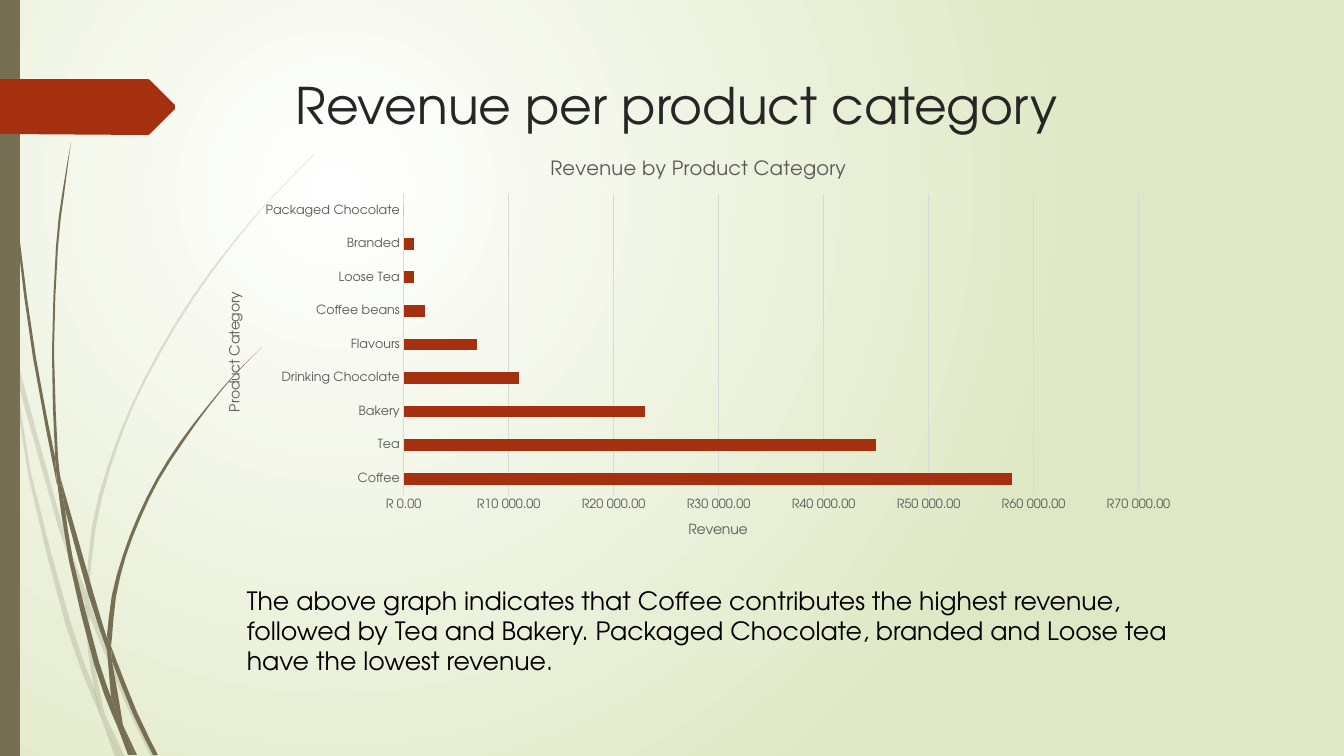
from pptx import Presentation
from pptx.chart.data import CategoryChartData
from pptx.dml.color import RGBColor
from pptx.enum.chart import XL_CHART_TYPE, XL_TICK_MARK
from pptx.enum.shapes import MSO_SHAPE
from pptx.enum.text import MSO_ANCHOR
from pptx.util import Pt
from lxml.etree import SubElement

SCALE = 914400 / 100.8
FONT = "TeX Gyre Adventor"
OLIVE, RUST, GREY, RULE = "766F54", "A53010", "595959", "D9D9D9"
NS = "{http://schemas.openxmlformats.org/drawingml/2006/main}"

PALE = [
    ([(0, 284), (9, 325), (11, 353)], [(10, 347), (0, 301)]),
    ([(14, 348), (62, 524), (86, 591)], [(85, 604), (58, 526), (17, 379)]),
    ([(89, 601), (93, 612), (128, 698), (156, 757)],
     [(151, 757), (124, 700), (89, 615)]),
    ([(106, 717), (125, 757)], [(120, 757), (106, 717)]),
    ([(11, 353), (17, 379), (31, 473), (71, 624), (94, 688), (102, 720)],
     [(93, 699), (66, 626), (28, 474), (11, 353)]),
    ([(85, 604), (88, 651), (94, 688), (97, 698), (106, 717)],
     [(104, 712), (92, 651), (89, 615), (85, 604)]),
    ([(314, 154), (270, 199), (230, 246), (192, 297), (159, 351), (131, 406),
      (108, 465), (92, 526), (86, 591)],
     [(89, 601), (89, 589), (96, 526), (111, 466), (133, 407), (161, 352),
      (194, 298), (231, 247), (270, 200), (314, 155)]),
    ([(102, 720), (115, 757)], [(120, 757), (102, 720)]),
    ([(86, 591), (85, 604), (89, 613)], [(89, 615), (89, 601)]),
    ([(94, 688), (102, 720), (120, 757)], [(106, 717), (97, 698)]),
]
DARK = [
    ([(3, 0), (4, 48), (7, 111), (17, 235), (33, 358), (57, 485)],
     [(55, 457), (36, 358), (19, 234), (8, 110), (5, 48), (4, 0)]),
    ([(60, 476), (94, 595), (107, 638)], [(107, 650), (89, 597), (65, 509)]),
    ([(111, 646), (114, 654), (137, 712), (158, 755)],
     [(153, 755), (133, 714), (112, 661)]),
    ([(57, 481), (65, 509), (73, 560), (99, 662), (111, 697), (118, 728)],
     [(112, 714), (94, 664), (69, 561), (57, 481)]),
    ([(71, 142), (62, 195), (56, 247), (52, 352), (55, 453), (60, 476)],
     [(58, 457), (54, 352), (58, 247), (64, 195), (71, 142)]),
    ([(123, 725), (137, 755)], [(134, 755), (123, 725)]),
    ([(55, 453), (60, 476), (65, 509)], [(57, 481), (55, 457)]),
    ([(262, 347), (233, 376), (206, 408), (180, 442), (157, 478), (138, 516),
      (123, 555), (112, 595), (107, 636)],
     [(111, 646), (112, 638), (116, 597), (126, 556), (141, 517), (159, 480),
      (182, 444), (207, 409), (233, 377), (262, 347)]),
    ([(118, 728), (128, 755)], [(132, 755), (118, 728)]),
    ([(107, 650), (112, 661), (123, 725)], [(117, 712), (111, 697)]),
    ([(107, 636), (107, 650), (112, 661)], [(111, 646), (107, 636)]),
    ([(111, 697), (118, 728), (131, 755)], [(134, 755), (123, 725), (117, 712)]),
]
BANNER = [(0, 79), (148, 79), (150, 80), (175, 105), (175, 109), (150, 134),
          (148, 135), (0, 134)]
SALES = {
    "Coffee": 58000, "Tea": 45000, "Bakery": 23000,
    "Drinking Chocolate": 11000, "Flavours": 7000, "Coffee beans": 2000,
    "Loose Tea": 1000, "Branded": 1000, "Packaged Chocolate": 0,
}


def px(num):
    return round(num * SCALE)


def rgb(code):
    return RGBColor.from_string(code)


def style(font, size, color):
    font.name, font.size, font.bold = FONT, Pt(size), False
    font.color.rgb = rgb(color)


def write(frame, text, size=18, color="000000"):
    run = frame.paragraphs[0].add_run()
    run.text = text
    style(run.font, size, color)


def bend(knots, steps=2):
    ends = [knots[0], *knots, knots[-1]]
    curve = [knots[0]]
    for a, b, c, d in zip(ends, ends[1:], ends[2:], ends[3:]):
        for step in range(1, steps + 1):
            t = step / steps
            curve.append(tuple(
                q + t * (r - p + t * (2 * p - 5 * q + 4 * r - s
                                      + t * (3 * (q - r) + s - p))) / 2
                for p, q, r, s in zip(a, b, c, d)))
    return curve


class Deck:
    """Hold the look and the slide being drawn."""

    def __init__(self):
        self.show = Presentation()
        self.show.slide_width, self.show.slide_height = px(1344), px(756)
        self.slide = self.show.slides.add_slide(self.show.slide_layouts[6])
        self.shapes = self.slide.shapes

    def glow(self, *colors):
        fill = self.slide.background.fill
        fill.gradient()
        for stop, color, spot in zip(fill.gradient_stops, colors, (0, 1)):
            stop.color.rgb, stop.position = rgb(color), spot
        grad = self.slide.element.xpath(".//p:bg//a:gradFill")[0]
        for line in grad.findall(NS + "lin"):
            grad.remove(line)
        ring = SubElement(grad, NS + "path", path="circle")
        SubElement(ring, NS + "fillToRect", l="50000", t="50000",
                   r="100000", b="100000")

    def paint(self, shape, color, alpha=100):
        shape.shadow.inherit = False
        shape.fill.solid()
        shape.fill.fore_color.rgb = rgb(color)
        shape.line.fill.background()
        if alpha < 100:
            tint = shape.element.xpath("./p:spPr/a:solidFill/a:srgbClr")[0]
            SubElement(tint, NS + "alpha", val=str(alpha * 1000))

    def bar(self, x, y, w, h, color):
        box = self.shapes.add_shape(MSO_SHAPE.RECTANGLE, *map(px, (x, y, w, h)))
        self.paint(box, color)

    def form(self, spots, color, alpha=100):
        first, *rest = [(px(x), px(y)) for x, y in spots]
        pen = self.shapes.build_freeform(*first)
        pen.add_line_segments(rest, close=True)
        self.paint(pen.convert_to_shape(), color, alpha)

    def stems(self, blades, color, alpha=100):
        for near, far in blades:
            self.form(bend(near) + bend(far), color, alpha)

    def text(self, x, y, w, h, words, **look):
        frame = self.shapes.add_textbox(*map(px, (x, y, w, h))).text_frame
        frame.word_wrap = True
        frame.vertical_anchor = MSO_ANCHOR.TOP
        write(frame, words, **look)

    def axis(self, axis, title):
        axis.major_tick_mark = axis.minor_tick_mark = XL_TICK_MARK.NONE
        style(axis.tick_labels.font, 9, GREY)
        write(axis.axis_title.text_frame, title, size=10, color=GREY)

    def rule(self, line):
        line.color.rgb, line.width = rgb(RULE), Pt(0.75)

    def chart(self, x, y, w, h, sales, title):
        data = CategoryChartData()
        data.categories = list(sales)
        data.add_series("Series 1", list(sales.values()))
        chart = self.shapes.add_chart(
            XL_CHART_TYPE.BAR_CLUSTERED, *map(px, (x, y, w, h)), data).chart
        style(chart.font, 10, "000000")
        chart.has_legend = False
        write(chart.chart_title.text_frame, title, size=14, color=GREY)
        cats, vals = chart.category_axis, chart.value_axis
        self.axis(cats, "Product Category")
        self.axis(vals, "Revenue")
        self.rule(cats.format.line)
        self.rule(vals.major_gridlines.format.line)
        vals.format.line.fill.background()
        vals.minimum_scale, vals.maximum_scale, vals.major_unit = 0, 70000, 10000
        vals.tick_labels.number_format = '"R"#\\ ##0.00'
        vals.tick_labels.number_format_is_linked = False
        plot = chart.plots[0]
        plot.gap_width, plot.vary_by_categories = 182, False
        fill = plot.series[0].format.fill
        fill.solid()
        fill.fore_color.rgb = rgb(RUST)


def main():
    deck = Deck()
    deck.glow("FFFFFF", "DFE8C4")
    deck.stems(PALE, OLIVE, alpha=20)
    deck.stems(DARK, OLIVE)
    deck.bar(0, 0, 20, 756, OLIVE)
    deck.form(BANNER, RUST)
    deck.text(286, 69, 983, 141, "Revenue per product category",
              size=36, color="262626")
    deck.chart(207, 141, 983, 416, SALES, "Revenue by Product Category")
    deck.text(237, 580, 983, 102,
              "The above graph indicates that Coffee contributes the highest "
              "revenue, followed by Tea and Bakery. Packaged Chocolate, branded "
              "and Loose tea have the lowest revenue.")
    deck.show.save("out.pptx")


if __name__ == "__main__":
    main()
